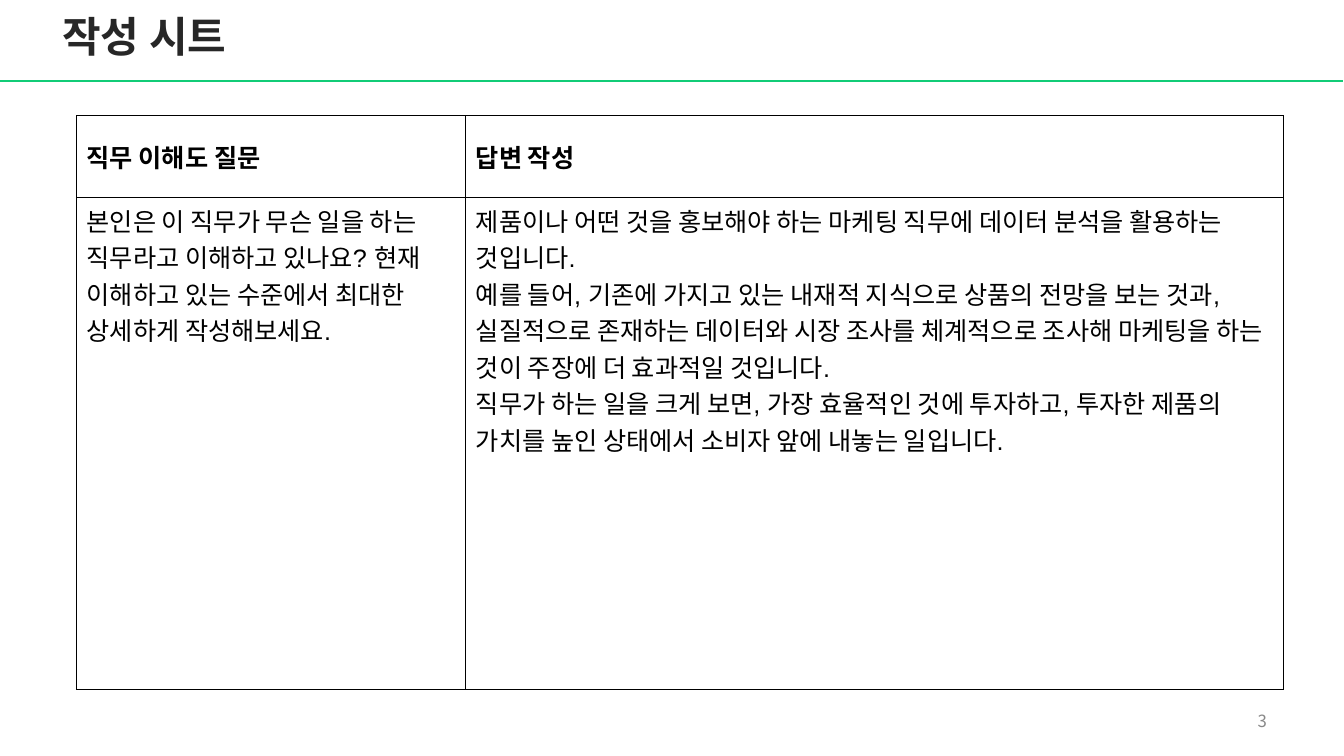
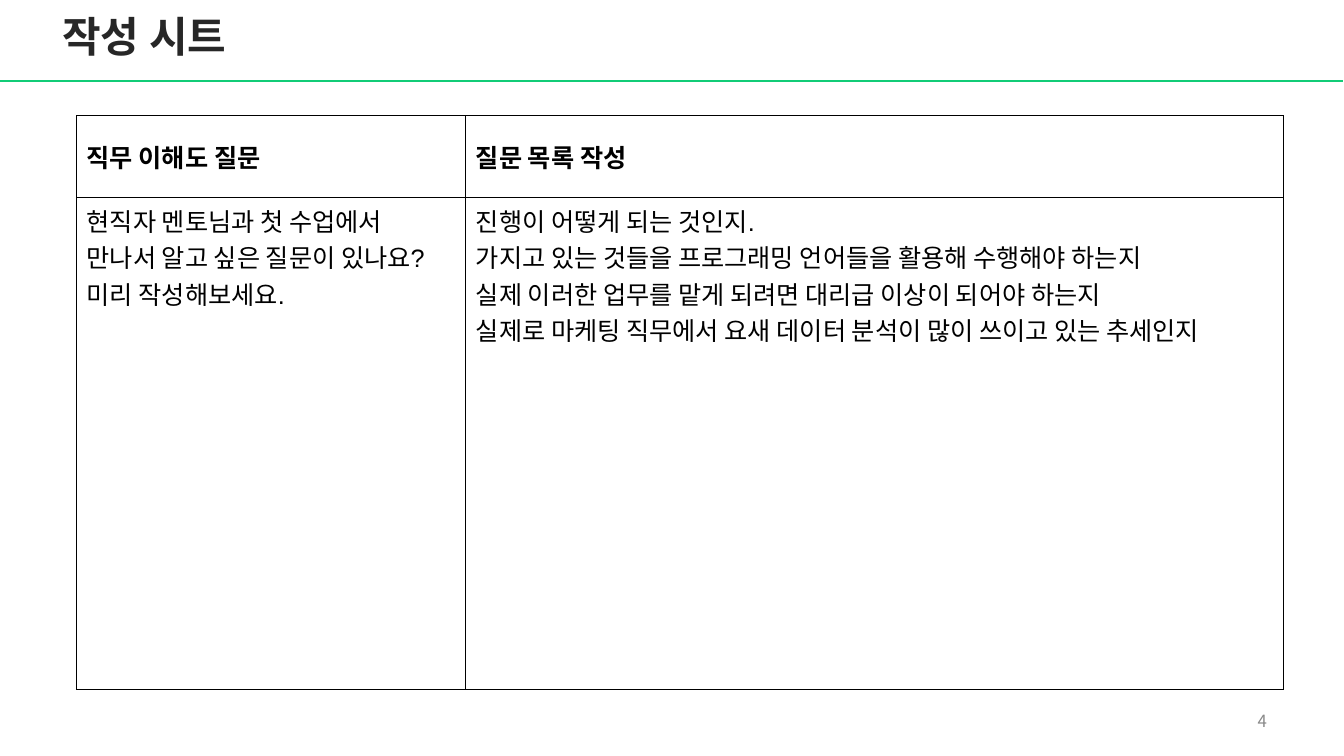
from lxml import etree
from pptx import Presentation
from pptx.dml.color import RGBColor
from pptx.enum import shapes, text
from pptx.oxml import ns
from pptx.util import Pt

GREEN = RGBColor(0x11, 0xCC, 0x77)
DARK = RGBColor(0x27, 0x27, 0x27)
GREY = RGBColor(0x88, 0x88, 0x88)
BLACK = RGBColor(0, 0, 0)
LATIN, KOREAN = "Arial", "Noto Sans CJK KR"

TITLE = {"size": Pt(30), "bold": True, "name": LATIN}
HEAD = {"size": Pt(18), "bold": True, "name": LATIN}
BODY = {**HEAD, "bold": False}
NUMBER = {"size": Pt(12), "bold": False, "name": KOREAN}

SHEETS = [
    (3, "답변 작성",
     "본인은 이 직무가 무슨 일을 하는 직무라고 이해하고 있나요? 현재 이해하고 있는 수준에서 최대한 상세하게 작성해보세요.",
     ["제품이나 어떤 것을 홍보해야 하는 마케팅 직무에 데이터 분석을 활용하는 것입니다.",
      "예를 들어, 기존에 가지고 있는 내재적 지식으로 상품의 전망을 보는 것과,",
      "실질적으로 존재하는 데이터와 시장 조사를 체계적으로 조사해 마케팅을 하는 것이 주장에 더 효과적일 것입니다.",
      "직무가 하는 일을 크게 보면, 가장 효율적인 것에 투자하고, 투자한 제품의 가치를 높인 상태에서 소비자 앞에 내놓는 일입니다."]),
    (4, "질문 목록 작성",
     "현직자 멘토님과 첫 수업에서 만나서 알고 싶은 질문이 있나요? 미리 작성해보세요.",
     ["진행이 어떻게 되는 것인지.",
      "가지고 있는 것들을 프로그래밍 언어들을 활용해 수행해야 하는지",
      "실제 이러한 업무를 맡게 되려면 대리급 이상이 되어야 하는지",
      "실제로 마케팅 직무에서 요새 데이터 분석이 많이 쓰이고 있는 추세인지"]),
]


def style(item, values):
    """Set each attribute of the item from a dict."""
    for key, value in values.items():
        setattr(item, key, value)


def write(frame, lines, font, color, **para):
    """Write one paragraph per line in a text frame."""
    for i, line in enumerate(lines):
        part = frame.add_paragraph() if i else frame.paragraphs[0]
        style(part, para)
        run = part.add_run()
        run.text = line
        style(run.font, font)
        run.font.color.rgb = color
        etree.SubElement(run.font._element, ns.qn("a:ea"), typeface=KOREAN)


def label(slide, box, words, font, color, frame, **para):
    """Place a line of text in the given box."""
    area = slide.shapes.add_textbox(*map(Pt, box)).text_frame
    style(area, {"word_wrap": True, **frame})
    write(area, [words], font, color, **para)


def header(slide, box, words):
    """Place the slide title and the rule below it."""
    left, top, width, height = box
    margins = dict.fromkeys(
        ("margin_left", "margin_top", "margin_right", "margin_bottom"), 0)
    label(slide, box, words, TITLE, DARK, margins, line_spacing=0.88)
    level = Pt(top + height + 10)
    rule = slide.shapes.add_connector(
        shapes.MSO_CONNECTOR.STRAIGHT, 0, level, Pt(959), level)
    rule.line.color.rgb = GREEN
    rule.line.width = Pt(1.5)
    etree.SubElement(rule._element.spPr, ns.qn("a:effectLst"))


def border(cell):
    """Draw thin black lines round a cell and leave it unfilled."""
    props = cell._tc.get_or_add_tcPr()
    for side in ("lnL", "lnR", "lnT", "lnB"):
        line = etree.SubElement(props, ns.qn("a:" + side), w=str(Pt(0.75)))
        fill = etree.SubElement(line, ns.qn("a:solidFill"))
        etree.SubElement(fill, ns.qn("a:srgbClr"), val=str(BLACK))
    cell.fill.background()


def sheet(slide, box, rows):
    """Place the question and answer table in the given box."""
    left, top, width, height = box
    table = slide.shapes.add_table(2, 2, *map(Pt, box)).table
    style(table, {"first_row": False, "horz_banding": False})
    first, head = 278, 58.3
    for col, size in zip(table.columns, (first, width - first)):
        col.width = Pt(size)
    for row, size in zip(table.rows, (head, height - head)):
        row.height = Pt(size)
    formats = ((HEAD, text.MSO_ANCHOR.MIDDLE), (BODY, text.MSO_ANCHOR.TOP))
    for r, (font, anchor) in enumerate(formats):
        for c, lines in enumerate(rows[r]):
            cell = table.cell(r, c)
            border(cell)
            style(cell, {"vertical_anchor": anchor,
                         "margin_left": Pt(7.2), "margin_right": Pt(7.2),
                         "margin_top": Pt(3.6), "margin_bottom": Pt(3.6)})
            write(cell.text_frame, lines, font, BLACK)


def main():
    """Build both worksheets and save them."""
    deck = Presentation()
    style(deck, {"slide_width": Pt(960), "slide_height": Pt(540)})
    for number, heading, question, answers in SHEETS:
        slide = deck.slides.add_slide(deck.slide_layouts[6])
        label(slide, (688, 500.4, 224, 28.8), str(number), NUMBER, GREY,
              {"vertical_anchor": text.MSO_ANCHOR.MIDDLE},
              alignment=text.PP_ALIGN.RIGHT)
        header(slide, (44.6, 12, 872, 36), "작성 시트")
        sheet(slide, (54.7, 82.5, 862, 410),
              [[["직무 이해도 질문"], [heading]], [[question], answers]])
    deck.save("out.pptx")


if __name__ == "__main__":
    main()
